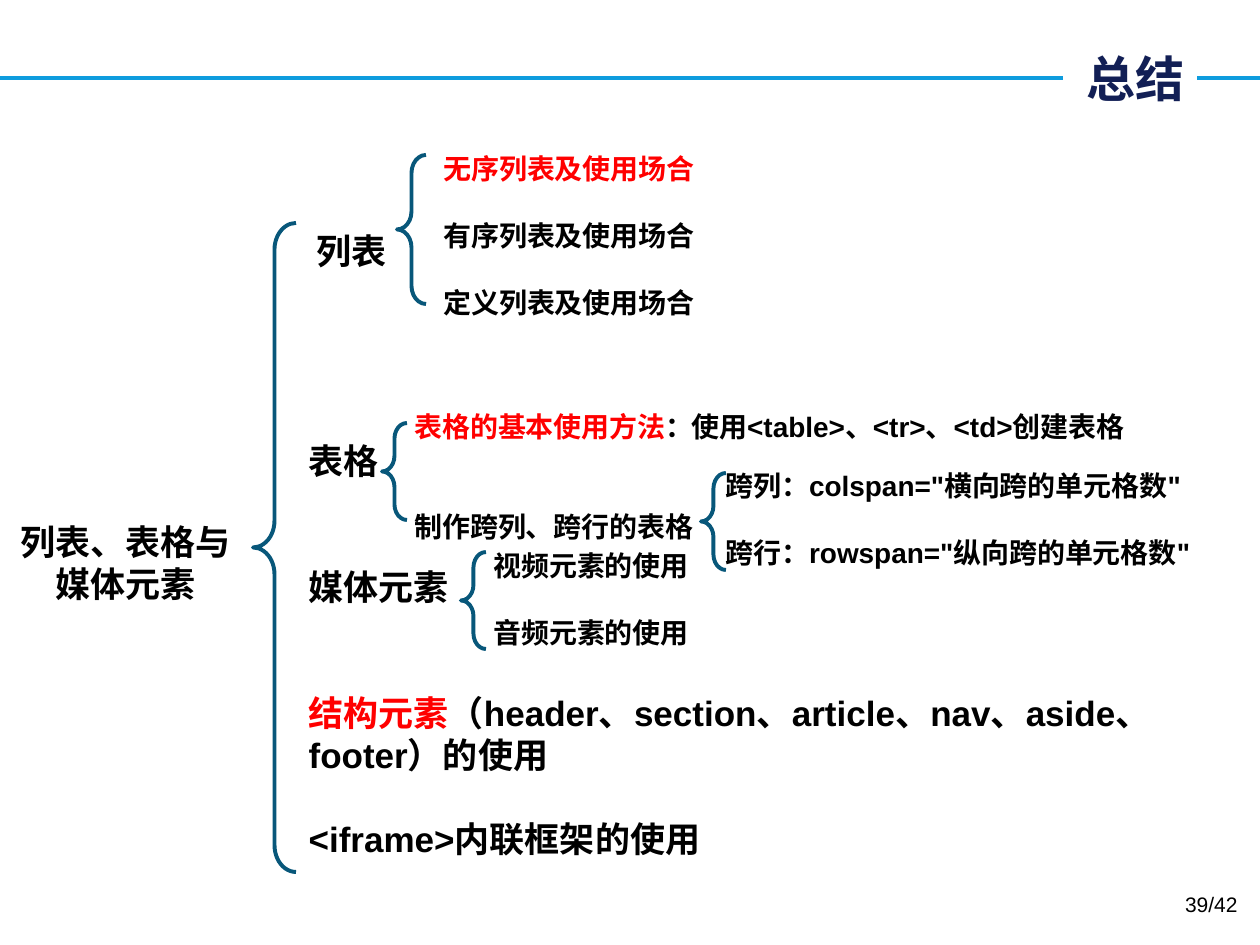
from dataclasses import dataclass

from lxml.etree import SubElement
from pptx import Presentation
from pptx.dml.color import RGBColor
from pptx.enum.shapes import MSO_CONNECTOR, MSO_SHAPE
from pptx.enum.text import MSO_ANCHOR, MSO_AUTO_SIZE, PP_ALIGN
from pptx.oxml.ns import qn
from pptx.util import Emu, Pt

PX = 914400 / 126
CJK = "Noto Sans CJK SC"
BLACK = RGBColor(0x00, 0x00, 0x00)
RED = RGBColor(0xFF, 0x00, 0x00)
NAVY = RGBColor(0x12, 0x1F, 0x55)
RULE_BLUE = RGBColor(0x0E, 0x9C, 0xDE)
BRACE_BLUE = RGBColor(0x08, 0x57, 0x7A)
WHITE = RGBColor(0xFF, 0xFF, 0xFF)
LINE_PITCH = 1.2

Box = tuple[int, int, int, int]


@dataclass(frozen=True)
class Para:
    """One paragraph: a red lead, the rest in the base colour, and the lines left free above."""
    text: str
    red: str = ""
    gap: int = 0


@dataclass(frozen=True)
class TextBlock:
    box: Box
    paras: tuple[Para, ...]
    size: int = 16
    align: PP_ALIGN = PP_ALIGN.LEFT
    bold: bool = True
    color: RGBColor = BLACK
    font: str = "Arial"
    anchor: MSO_ANCHOR = MSO_ANCHOR.TOP


TITLE = TextBlock((1063, 38, 134, 80), (Para("总结"),), 28, PP_ALIGN.RIGHT,
                  color=NAVY, font=CJK, anchor=MSO_ANCHOR.MIDDLE)
TOPICS = TextBlock((296, 223, 903, 649), (
    Para(" 列表"),
    Para("表格", gap=4),
    Para("媒体元素", gap=2),
    Para("（header、section、article、nav、aside、footer）的使用", "结构元素", gap=2),
    Para("<iframe>内联框架的使用", gap=1),
), 20)
DETAILS = (
    TextBlock((431, 145, 519, 183), (
        Para("", "无序列表及使用场合"),
        Para("有序列表及使用场合", gap=1),
        Para("定义列表及使用场合", gap=1),
    )),
    TextBlock((402, 403, 335, 149), (
        Para("：", "表格的基本使用方法"),
        Para("制作跨列、跨行的表格", gap=2),
    )),
    TextBlock((0, 514, 251, 97), (Para("列表、表格与媒体元素"),), 20, PP_ALIGN.CENTER),
    TextBlock((679, 403, 519, 47), (Para("使用<table>、<tr>、<td>创建表格"),)),
    TextBlock((713, 462, 519, 115), (
        Para('跨列：colspan="横向跨的单元格数"'),
        Para('跨行：rowspan="纵向跨的单元格数"', gap=1),
    )),
    TextBlock((481, 542, 519, 115), (
        Para("视频元素的使用"),
        Para("音频元素的使用", gap=1),
    )),
    TextBlock((956, 885, 294, 50), (Para("39/42"),), 12, PP_ALIGN.RIGHT, bold=False),
)
BRACES: tuple[Box, ...] = (
    (253, 223, 43, 649),
    (397, 155, 29, 149),
    (382, 423, 25, 97),
    (701, 473, 25, 97),
    (461, 552, 25, 97),
)


def emu(px: int) -> Emu:
    return Emu(round(px * PX))


def apply(obj, values: dict) -> None:
    for name, value in values.items():
        setattr(obj, name, value)


def place(sp, box: Box) -> None:
    apply(sp, dict(zip(("left", "top", "width", "height"), map(emu, box))))


def add_run(p, text: str, block: TextBlock, color: RGBColor) -> None:
    r = p.add_run()
    r.text = text
    apply(r.font, {"size": Pt(block.size), "bold": block.bold, "name": block.font})
    r.font.color.rgb = color
    SubElement(r.font._element, qn("a:ea"), typeface=CJK)


def fill_text(sp, block: TextBlock) -> None:
    place(sp, block.box)
    tf = sp.text_frame
    apply(tf, {"word_wrap": True, "auto_size": MSO_AUTO_SIZE.NONE,
               "vertical_anchor": block.anchor})
    for i, para in enumerate(block.paras):
        p = tf.add_paragraph() if i else tf.paragraphs[0]
        apply(p, {"alignment": block.align, "space_after": Pt(0),
                  "space_before": Pt(para.gap * LINE_PITCH * block.size)})
        for text, color in ((para.red, RED), (para.text, block.color)):
            if text:
                add_run(p, text, block, color)


def remove_bullets(tf) -> None:
    for p in tf.paragraphs:
        pPr = p._p.get_or_add_pPr()
        pPr.set("marL", "0")
        pPr.set("indent", "0")
        SubElement(pPr, qn("a:buNone"))


def add_rule_behind(slide, title) -> None:
    line = slide.shapes.add_connector(
        MSO_CONNECTOR.STRAIGHT, *map(emu, (0, 78, 1260, 78)))
    line.line.color.rgb = RULE_BLUE
    line.line.width = Pt(2.25)
    SubElement(line._element.spPr, qn("a:effectLst"))
    title.element.addprevious(line.element)


def add_brace(slide, box: Box) -> None:
    sp = slide.shapes.add_shape(MSO_SHAPE.LEFT_BRACE, *map(emu, box))
    sp.adjustments[0] = 0.62
    sp.shadow.inherit = False
    sp.fill.background()
    sp.line.color.rgb = BRACE_BLUE
    sp.line.width = Pt(2.25)


def main() -> None:
    prs = Presentation()
    prs.slide_width, prs.slide_height = emu(1260), emu(945)
    slide = prs.slides.add_slide(prs.slide_layouts[1])
    title, topics = slide.placeholders
    fill_text(title, TITLE)
    title.fill.solid()
    title.fill.fore_color.rgb = WHITE
    add_rule_behind(slide, title)
    fill_text(topics, TOPICS)
    remove_bullets(topics.text_frame)
    for box in BRACES:
        add_brace(slide, box)
    for block in DETAILS:
        fill_text(slide.shapes.add_textbox(*map(emu, block.box)), block)
    prs.save("out.pptx")


if __name__ == "__main__":
    main()
